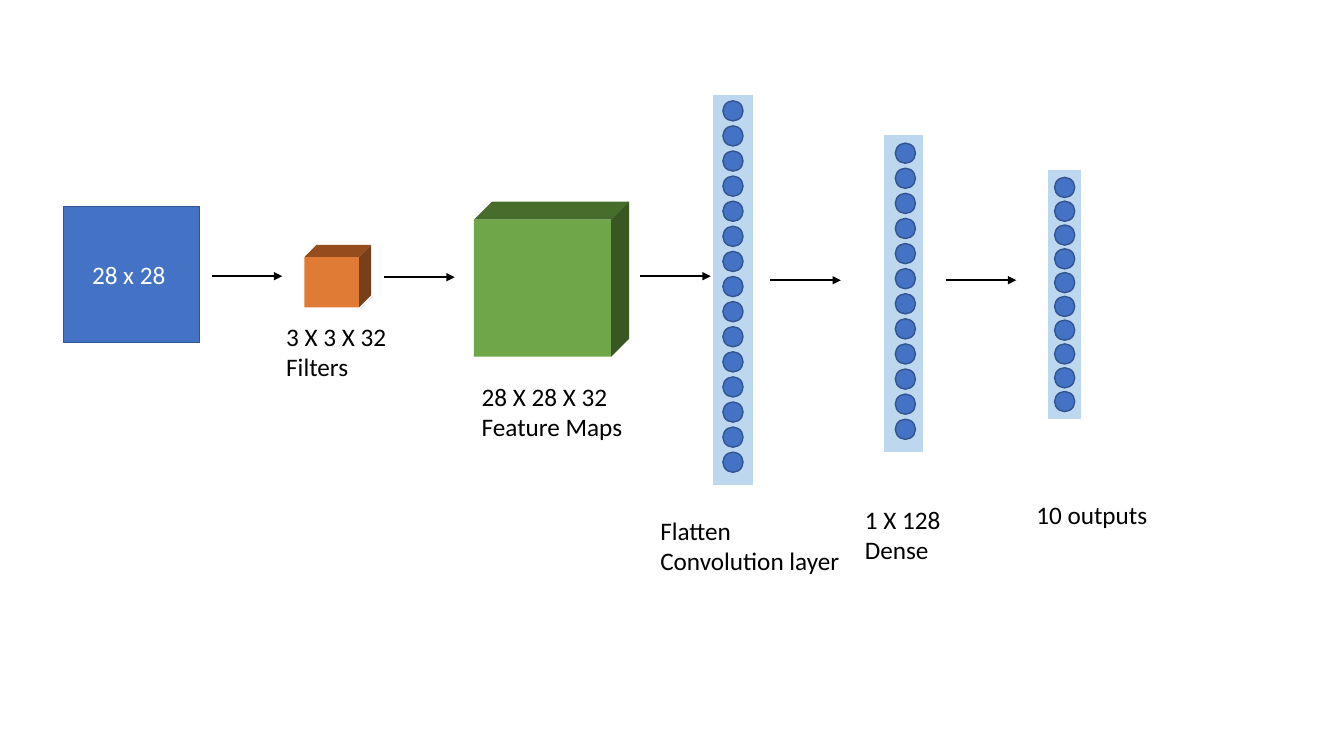
from lxml import etree
from pptx import Presentation
from pptx.dml.color import RGBColor
from pptx.enum.shapes import MSO_CONNECTOR, MSO_SHAPE
from pptx.enum.text import MSO_ANCHOR, PP_ALIGN
from pptx.oxml.ns import qn
from pptx.util import Inches, Pt

RECT = MSO_SHAPE.RECTANGLE
OVAL = MSO_SHAPE.OVAL
STRAIGHT = MSO_CONNECTOR.STRAIGHT
MIDDLE = MSO_ANCHOR.MIDDLE
LEFT = PP_ALIGN.LEFT
CENTER = PP_ALIGN.CENTER

BLACK = RGBColor(0x00, 0x00, 0x00)
WHITE = RGBColor(0xFF, 0xFF, 0xFF)
BLUE = RGBColor(0x44, 0x72, 0xC4)
NAVY = RGBColor(0x32, 0x54, 0x91)
PALE = RGBColor(0xBD, 0xD7, 0xEE)
ORANGE = RGBColor(0xE0, 0x7B, 0x36)
RUST = RGBColor(0x95, 0x4D, 0x1D)
BROWN = RGBColor(0x77, 0x40, 0x1A)
GREEN = RGBColor(0x70, 0xA6, 0x4A)
MOSS = RGBColor(0x46, 0x6D, 0x2C)
PINE = RGBColor(0x38, 0x57, 0x23)

FONT = "Calibri"
DOT = 0.2
ARROW = 0.7


def paint(shape, fill, line=None, width=1):
    """Set fill and outline, without a shadow."""
    shape.shadow.inherit = False
    shape.fill.solid()
    shape.fill.fore_color.rgb = fill
    if line is None:
        shape.line.fill.background()
    else:
        shape.line.color.rgb = line
        shape.line.width = Pt(width)


def add_box(slide, kind, box, fill, line=None, width=1):
    """Add a painted preset shape."""
    shape = slide.shapes.add_shape(kind, *map(Inches, box))
    paint(shape, fill, line, width)
    return shape


def add_face(slide, points, fill):
    """Add one slanted face of a block."""
    spots = [(Inches(x), Inches(y)) for x, y in points]
    outline = slide.shapes.build_freeform(*spots[0])
    outline.add_line_segments(spots[1:], close=True)
    paint(outline.convert_to_shape(), fill)


def add_block(slide, box, depth, front, top, side):
    """Add a solid block seen from the upper right."""
    x, y, wide, high = box
    right, base = x + wide, y + high
    add_face(slide, [(x, y), (x + depth, y - depth),
                     (right + depth, y - depth), (right, y)], top)
    add_face(slide, [(right, y), (right + depth, y - depth),
                     (right + depth, base - depth), (right, base)], side)
    add_box(slide, RECT, box, front)


def add_layer(slide, box, left, top, step, count):
    """Add a pale bar with a column of nodes."""
    add_box(slide, RECT, box, PALE, WHITE, 0.5)
    for i in range(count):
        add_box(slide, OVAL, (left, top + i * step, DOT, DOT), BLUE, NAVY)


def add_arrow(slide, x, y):
    """Add a level arrow pointing right."""
    arrow = slide.shapes.add_connector(
        STRAIGHT, Inches(x), Inches(y), Inches(x + ARROW), Inches(y))
    arrow.line.color.rgb = BLACK
    arrow.line.width = Pt(1.5)
    etree.SubElement(arrow.line._get_or_add_ln(), qn("a:tailEnd"),
                     type="triangle")
    etree.SubElement(arrow._element.spPr, qn("a:effectLst"))


def write(frame, lines, color, align=LEFT):
    """Write one paragraph for each line."""
    frame.word_wrap = True
    for i, line in enumerate(lines):
        para = frame.add_paragraph() if i else frame.paragraphs[0]
        para.alignment = align
        run = para.add_run()
        run.text = line
        run.font.name = FONT
        run.font.size = Pt(18)
        run.font.color.rgb = color


def add_label(slide, box, lines):
    """Add a black caption."""
    label = slide.shapes.add_textbox(*map(Inches, box))
    write(label.text_frame, lines, BLACK)


def main():
    """Build the network slide."""
    deck = Presentation()
    deck.slide_width = Inches(13.33)
    deck.slide_height = Inches(7.5)
    slide = deck.slides.add_slide(deck.slide_layouts[6])

    image = add_box(slide, RECT, (0.63, 2.05, 1.35, 1.35), BLUE, NAVY)
    image.text_frame.vertical_anchor = MIDDLE
    write(image.text_frame, ["28 x 28 "], WHITE, CENTER)

    add_block(slide, (3.02, 2.55, 0.54, 0.5), 0.12, ORANGE, RUST, BROWN)
    add_block(slide, (4.7, 2.18, 1.36, 1.36), 0.18, GREEN, MOSS, PINE)

    add_layer(slide, (7.07, 0.94, 0.4, 3.88), 7.17, 1, 0.249, 15)
    add_layer(slide, (8.76, 1.33, 0.4, 3.16), 8.88, 1.42, 0.249, 12)
    add_layer(slide, (10.39, 1.68, 0.34, 2.48), 10.46, 1.76, 0.236, 10)

    for x, y in [(2.1, 2.74), (3.81, 2.75), (6.35, 2.74),
                 (7.64, 2.78), (9.38, 2.78)]:
        add_arrow(slide, x, y)

    for box, lines in [
        ((2.74, 3.14, 1.22, 0.71), ["3 X 3 X 32 ", "Filters"]),
        ((4.68, 3.73, 1.67, 0.71), ["28 X 28 X 32", "Feature Maps "]),
        ((6.45, 5.06, 2.08, 0.71), ["Flatten ", "Convolution layer "]),
        ((8.48, 4.95, 1.37, 0.71), ["1 X 128", "Dense "]),
        ((10.18, 4.9, 2.08, 0.4), ["10 outputs"]),
    ]:
        add_label(slide, box, lines)

    deck.save("out.pptx")


main()
